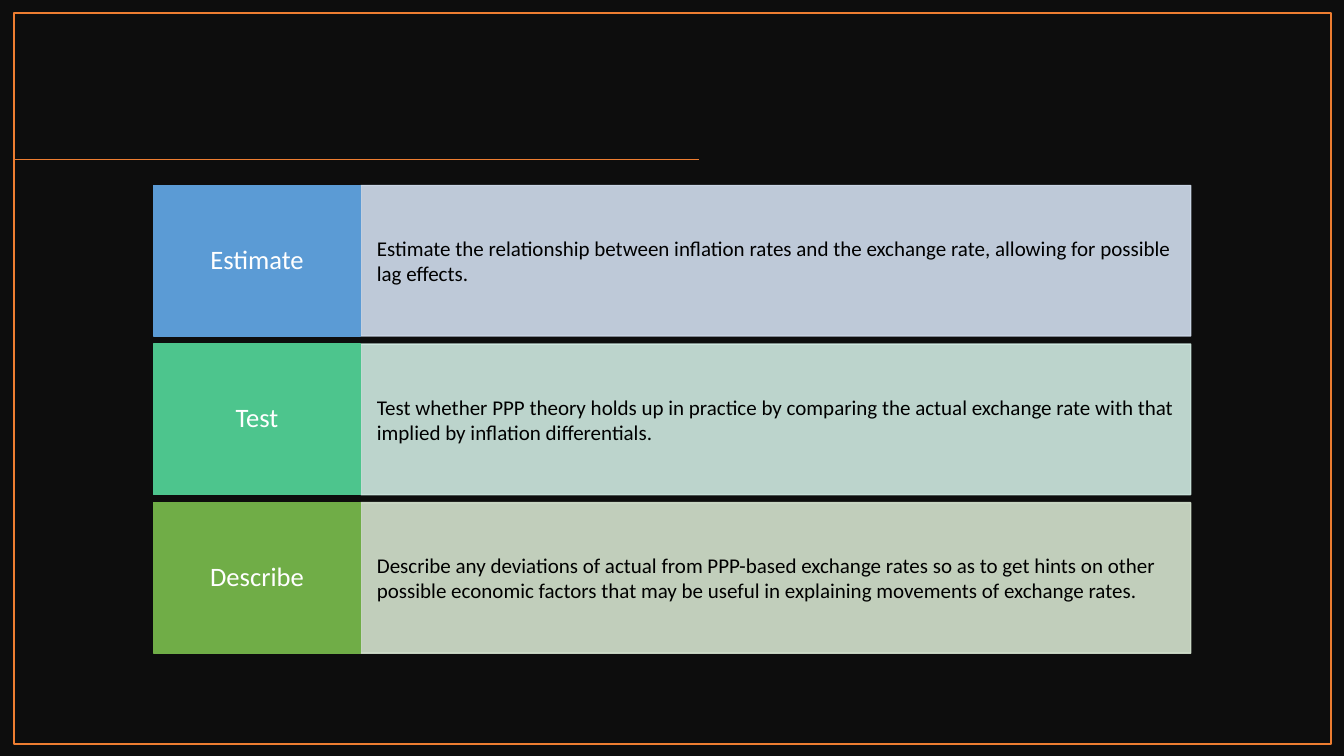
from pptx import Presentation
from pptx import util as u
from pptx.dml.color import RGBColor
from pptx.enum import shapes, text
from pptx.oxml.ns import qn
from lxml import etree

WIDTH, HEIGHT = 13.33, 7.5
FONT = "Calibri"
BLACK = RGBColor(0x00, 0x00, 0x00)
WHITE = RGBColor(0xFF, 0xFF, 0xFF)
BACKDROP = RGBColor(0x0D, 0x0D, 0x0D)
ORANGE = RGBColor(0xED, 0x7D, 0x31)
BLUE, PALE_BLUE = RGBColor(0x5B, 0x9B, 0xD5), RGBColor(0xD2, 0xDE, 0xEF)
TEAL, PALE_TEAL = RGBColor(0x4D, 0xC5, 0x8D), RGBColor(0xD0, 0xEA, 0xE1)
GREEN, PALE_GREEN = RGBColor(0x70, 0xAD, 0x47), RGBColor(0xD5, 0xE3, 0xCF)

STEPS = [
    ("Estimate", BLUE, PALE_BLUE,
     "Estimate the relationship between inflation rates and the exchange rate, "
     "allowing for possible lag effects."),
    ("Test", TEAL, PALE_TEAL,
     "Test whether PPP theory holds up in practice by comparing the actual "
     "exchange rate with that implied by inflation differentials."),
    ("Describe", GREEN, PALE_GREEN,
     "Describe any deviations of actual from PPP-based exchange rates so as to "
     "get hints on other possible economic factors that may be useful in "
     "explaining movements of exchange rates."),
]


def add_rectangle(slide, box, fill=None, line=None):
    """Add a flat rectangle; without a colour, its fill or line is left out."""
    shape = slide.shapes.add_shape(
        shapes.MSO_SHAPE.RECTANGLE, *(u.Inches(length) for length in box))
    shape.shadow.inherit = False
    for part, color in ((shape.fill, fill), (shape.line.fill, line)):
        if color is None:
            part.background()
        else:
            part.solid()
            part.fore_color.rgb = color
    if line is not None:
        shape.line.width = u.Pt(1)
    return shape


def set_opacity(shape, percent):
    for color in shape._element.spPr.iter(qn("a:srgbClr")):
        etree.SubElement(color, qn("a:alpha"), val=str(percent * 1000))


def write_text(shape, content, size, color, alignment, side, top):
    """Write one middle-anchored paragraph with the given side and top insets."""
    frame = shape.text_frame
    frame.text = content
    frame.word_wrap = True
    frame.vertical_anchor = text.MSO_ANCHOR.MIDDLE
    frame.margin_left = frame.margin_right = u.Inches(side)
    frame.margin_top = frame.margin_bottom = u.Inches(top)
    paragraph = frame.paragraphs[0]
    paragraph.alignment = alignment
    font = paragraph.runs[0].font
    font.name, font.size, font.color.rgb = FONT, u.Pt(size), color
    return paragraph


def add_frame(slide, box):
    """Add the dark backdrop, the title rule and the outline set in the box."""
    left, top, width, height = box
    add_rectangle(slide, (0, 0, WIDTH, HEIGHT), fill=BACKDROP)
    rule_y = u.Inches(top + 0.2 * height)
    rule = slide.shapes.add_connector(
        shapes.MSO_CONNECTOR.STRAIGHT,
        u.Inches(left + 0.52 * width), rule_y, u.Inches(left), rule_y)
    rule.line.color.rgb = ORANGE
    rule.line.width = u.Pt(1)
    etree.SubElement(rule._element.spPr, qn("a:effectLst"))
    add_rectangle(slide, box, line=ORANGE)


def add_steps(slide, box, gap=0.08, label_share=0.2):
    """Stack the steps in equal rows, each a label beside its description."""
    left, top, width, height = box
    row_height = (height - gap * (len(STEPS) - 1)) / len(STEPS)
    label_width = label_share * width
    for index, (label, color, pale, description) in enumerate(STEPS):
        row_top = top + index * (row_height + gap)
        panel = add_rectangle(
            slide, (left + label_width, row_top, width - label_width, row_height),
            pale, pale)
        set_opacity(panel, 90)
        write_text(panel, description, 15, BLACK, text.PP_ALIGN.LEFT, 0.16, 0.38)
        tile = add_rectangle(
            slide, (left, row_top, label_width, row_height), color, color)
        paragraph = write_text(
            tile, label, 19, WHITE, text.PP_ALIGN.CENTER, 0.11, 0.15)
        paragraph.line_spacing = 0.9


def main():
    presentation = Presentation()
    presentation.slide_width = u.Inches(WIDTH)
    presentation.slide_height = u.Inches(HEIGHT)
    slide = presentation.slides.add_slide(presentation.slide_layouts[6])
    add_frame(slide, (0.14, 0.13, 13.06, 7.25))
    add_steps(slide, (1.52, 1.84, 10.29, 4.64))
    presentation.save("out.pptx")


if __name__ == "__main__":
    main()
